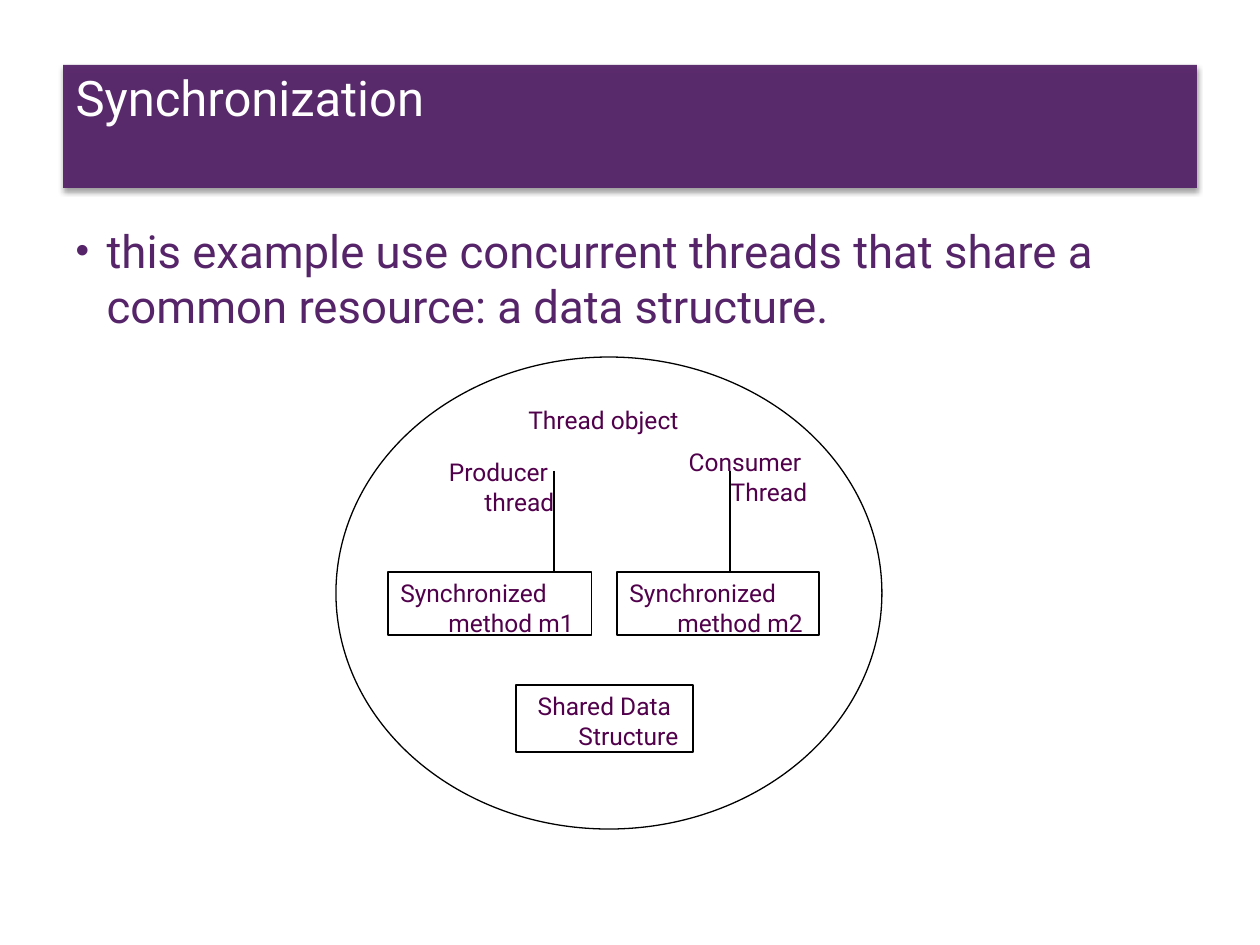
from dataclasses import dataclass

from lxml.etree import SubElement
from pptx import Presentation
from pptx.dml.color import RGBColor
from pptx.enum.shapes import MSO_CONNECTOR, MSO_SHAPE
from pptx.enum.text import MSO_ANCHOR, MSO_AUTO_SIZE, PP_ALIGN
from pptx.oxml import parse_xml
from pptx.oxml.ns import nsdecls, qn
from pptx.util import Emu, Pt

PIXEL = 914400 // 126
PURPLE, PLUM, BLACK, WHITE = "562469", "51004B", "000000", "FFFFFF"
FONT = "Roboto"


@dataclass(frozen=True)
class Item:
    text: str
    left: int
    top: int
    width: int
    height: int
    centered: bool = True


METHODS = [
    Item("Synchronized method m1", 388, 572, 204, 63, False),
    Item("Synchronized method m2", 617, 572, 202, 63, False),
    Item("Shared Data Structure", 516, 685, 177, 67),
]
LABELS = [
    Item("Thread object", 504, 399, 199, 42),
    Item("Producer thread ", 399, 451, 199, 42),
    Item("Consumer Thread", 640, 441, 210, 42),
]
THREAD_LINES = [554, 730]


def px(value: int) -> Emu:
    return Emu(value * PIXEL)


def color(target, value: str) -> None:
    target.rgb = RGBColor.from_string(value)


def place(shape, left: int, top: int, width: int, height: int) -> None:
    shape.left, shape.top = px(left), px(top)
    shape.width, shape.height = px(width), px(height)


def write(shape, text: str, size: int, text_color: str, indent: int = 0):
    frame = shape.text_frame
    frame.text = text
    frame.word_wrap = True
    frame.vertical_anchor = MSO_ANCHOR.TOP
    frame.auto_size = MSO_AUTO_SIZE.NONE
    paragraph = frame.paragraphs[0]
    paragraph.alignment = PP_ALIGN.LEFT
    font = paragraph.runs[0].font
    font.name, font.size = FONT, Pt(size)
    color(font.color, text_color)
    properties = paragraph._p.get_or_add_pPr()
    properties.set("marL", str(px(indent)))
    properties.set("indent", str(-px(indent)))
    return paragraph


def write_item(shape, item: Item) -> None:
    paragraph = write(shape, item.text, 14, PLUM, 48)
    paragraph.alignment = PP_ALIGN.CENTER if item.centered else PP_ALIGN.LEFT


def add_outlined(slide, kind: MSO_SHAPE, left: int, top: int, width: int, height: int):
    shape = slide.shapes.add_shape(kind, px(left), px(top), px(width), px(height))
    shape.shadow.inherit = False
    shape.fill.solid()
    color(shape.fill.fore_color, WHITE)
    color(shape.line.color, BLACK)
    shape.line.width = Pt(0.75)
    return shape


def add_thread_line(slide, x: int) -> None:
    line = slide.shapes.add_connector(
        MSO_CONNECTOR.STRAIGHT, px(x), px(471), px(x), px(572))
    color(line.line.color, BLACK)
    line.line.width = Pt(0.75)
    SubElement(line._element.spPr, qn("a:effectLst"))


presentation = Presentation()
presentation.slide_width, presentation.slide_height = px(1260), px(945)
slide = presentation.slides.add_slide(presentation.slide_layouts[1])

# Title bar with a soft shadow
title = slide.shapes.title
place(title, 63, 65, 1134, 123)
title.fill.solid()
color(title.fill.fore_color, PURPLE)
fill_color = title._element.spPr.find(".//" + qn("a:srgbClr"))
SubElement(fill_color, qn("a:alpha")).set("val", "95000")
title._element.spPr.append(parse_xml(
    f'<a:effectLst {nsdecls("a")}><a:outerShdw blurRad="40000" dist="20000" '
    'dir="5400000" rotWithShape="0"><a:srgbClr val="000000">'
    '<a:alpha val="38000"/></a:srgbClr></a:outerShdw></a:effectLst>'))
heading = write(title, "Synchronization", 28, WHITE)
heading.line_spacing = 1.05
title.text_frame.margin_top = 0

# Bulleted statement
body = slide.placeholders[1]
place(body, 63, 217, 1134, 695)
statement = write(
    body,
    "this example use concurrent threads that share a common resource: "
    "a data structure.",
    26, PURPLE, 31)
statement.space_before = Pt(2)
bullet = statement._p.get_or_add_pPr()
SubElement(bullet, qn("a:buSzPct")).set("val", "85000")
SubElement(bullet, qn("a:buChar")).set("char", "•")

# Thread object and the boxes inside it
add_outlined(slide, MSO_SHAPE.OVAL, 336, 357, 546, 472)
for method in METHODS:
    box = add_outlined(slide, MSO_SHAPE.RECTANGLE, method.left, method.top,
                       method.width, method.height)
    write_item(box, method)

# Thread lines and labels
for line_x in THREAD_LINES:
    add_thread_line(slide, line_x)
for label in LABELS:
    text_box = slide.shapes.add_textbox(
        px(label.left), px(label.top), px(label.width), px(label.height))
    write_item(text_box, label)
    text_box.text_frame.auto_size = MSO_AUTO_SIZE.SHAPE_TO_FIT_TEXT

presentation.save("out.pptx")
